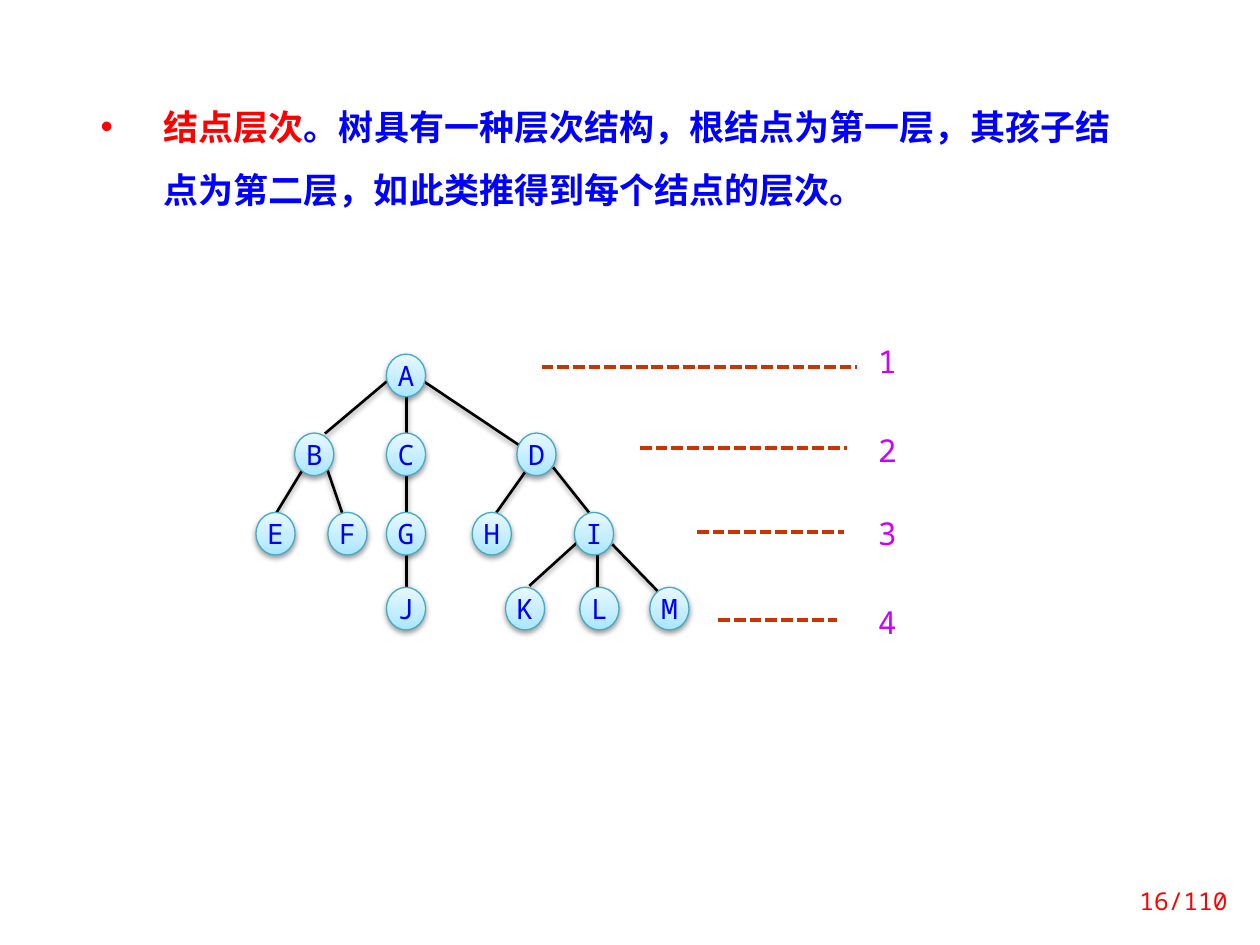
from lxml import etree
from pptx import Presentation
from pptx.dml.color import RGBColor
from pptx.enum.dml import MSO_LINE
from pptx.enum.shapes import MSO_CONNECTOR, MSO_SHAPE
from pptx.enum.text import MSO_ANCHOR, MSO_AUTO_SIZE, PP_ALIGN
from pptx.oxml import parse_xml
from pptx.oxml.ns import nsdecls, qn
from pptx.util import Cm, Pt

STRAIGHT = MSO_CONNECTOR.STRAIGHT
OVAL = MSO_SHAPE.OVAL
SHORT_DASH = MSO_LINE.SQUARE_DOT
CENTER, RIGHT = PP_ALIGN.CENTER, PP_ALIGN.RIGHT
MIDDLE = MSO_ANCHOR.MIDDLE
GROW = MSO_AUTO_SIZE.SHAPE_TO_FIT_TEXT

RED, BLUE, PURPLE, RUST, BLACK = "FF0000", "0000FF", "CC00FF", "CC3300", "000000"
MONO, CJK = "Noto Sans Mono", "Noto Sans CJK SC"


def color(value):
    return RGBColor.from_string(value)


def set_all(target, values):
    for name, value in values.items():
        setattr(target, name, value)


class TreeSlide:
    node_width, node_height = 0.79, 0.86
    node_stops = ((0, "A7E6FF"), (35, "C1EDFF"), (100, "E7F8FF"))
    node_outline = "46AAC5"

    def __init__(self, slide):
        self.slide = slide

    def add_words(self, paragraph, text, size, hue, font=MONO, bold=False):
        run = paragraph.add_run()
        run.text = text
        set_all(run.font, {"size": Pt(size), "bold": bold, "name": font})
        run.font.color.rgb = color(hue)
        east_asian = etree.SubElement(run.font._element, qn("a:ea"))
        east_asian.set("typeface", CJK)

    def text_box(self, left, top, width, height, frame_format, paragraph_format):
        box = self.slide.shapes.add_textbox(Cm(left), Cm(top), Cm(width), Cm(height))
        set_all(box.text_frame, {"word_wrap": True, **frame_format})
        paragraph = box.text_frame.paragraphs[0]
        set_all(paragraph, paragraph_format)
        return paragraph

    def bullet(self, paragraph, indent):
        properties = paragraph._p.get_or_add_pPr()
        properties.set("marL", str(Cm(indent)))
        properties.set("indent", str(-Cm(indent)))
        etree.SubElement(properties, qn("a:buFont")).set("typeface", "Arial")
        etree.SubElement(properties, qn("a:buChar")).set("char", "•")

    def cast_shadow(self, effects):
        effects.append(parse_xml(
            f'<a:outerShdw {nsdecls("a")} blurRad="{Pt(3.1)}" dist="{Pt(1.6)}" '
            'dir="5400000" rotWithShape="0"><a:srgbClr val="000000">'
            '<a:alpha val="38000"/></a:srgbClr></a:outerShdw>'))

    def line(self, start, end, hue, width, dash=None, shadow=False):
        connector = self.slide.shapes.add_connector(
            STRAIGHT, *(Cm(value) for value in (*start, *end)))
        connector.line.color.rgb = color(hue)
        set_all(connector.line, {"width": Pt(width), "dash_style": dash})
        effects = etree.SubElement(connector._element.spPr, qn("a:effectLst"))
        if shadow:
            self.cast_shadow(effects)

    def node(self, letter, left, top):
        oval = self.slide.shapes.add_shape(
            OVAL, Cm(left), Cm(top), Cm(self.node_width), Cm(self.node_height))
        oval.fill.gradient()
        oval.fill.gradient_angle = 90
        stops = oval._element.spPr.find(".//" + qn("a:gsLst"))
        for old_stop in list(stops):
            stops.remove(old_stop)
        for position, hue in self.node_stops:
            stop = etree.SubElement(stops, qn("a:gs"), pos=str(position * 1000))
            etree.SubElement(stop, qn("a:srgbClr"), val=hue)
        oval.line.color.rgb = color(self.node_outline)
        oval.line.width = Pt(0.75)
        oval.shadow.inherit = False
        self.cast_shadow(oval._element.spPr.find(qn("a:effectLst")))
        frame = oval.text_frame
        set_all(frame, {"margin_left": 0, "margin_right": 0, "margin_top": 0,
                        "margin_bottom": 0, "vertical_anchor": MIDDLE})
        set_all(frame.paragraphs[0], {"alignment": CENTER, "line_spacing": Pt(19)})
        self.add_words(frame.paragraphs[0], letter, 16, BLUE)


def main():
    presentation = Presentation()
    set_all(presentation, {"slide_width": Cm(25.4), "slide_height": Cm(19.05)})
    page = TreeSlide(presentation.slides.add_slide(presentation.slide_layouts[6]))

    definition = page.text_box(1.78, 1.57, 21.03, 2.67, {"auto_size": GROW},
                               {"line_spacing": 1.5})
    page.bullet(definition, 1.27)
    page.add_words(definition, "结点层次", 20, RED, CJK, True)
    page.add_words(definition, "。树具有一种层次结构，根结点为第一层，其孩子结点为第二层，"
                   "如此类推得到每个结点的层次。", 20, BLUE, MONO, True)

    levels = (
        (6.91, 7.39, 10.92, 17.27),
        (8.71, 9.04, 12.9, 17.07),
        (10.39, 10.72, 14.05, 17.02),
        (12.17, 12.5, 14.48, 16.87),
    )
    for number, (label_top, guide_y, guide_left, guide_right) in enumerate(levels, 1):
        label = page.text_box(17.45, label_top, 0.99, 0.89, {"auto_size": GROW},
                              {"line_spacing": 0.8})
        page.add_words(label, str(number), 18, PURPLE)
        page.line((guide_left, guide_y), (guide_right, guide_y), RUST, 2.25, SHORT_DASH)

    branches = (
        ((10.69, 9.37), (9.93, 10.44)),
        ((11.15, 9.42), (11.96, 10.44)),
        ((12.05, 11.18), (12.05, 11.96)),
        ((12.34, 10.97), (13.28, 11.94)),
        ((11.73, 10.85), (10.67, 11.81)),
        ((6.6, 9.47), (6.96, 10.52)),
        ((6.1, 9.47), (5.54, 10.39)),
        ((7.82, 7.67), (6.55, 8.74)),
        ((8.2, 7.95), (8.2, 11.96)),
        ((8.56, 7.7), (10.46, 8.97)),
    )
    for start, end in branches:
        page.line(start, end, BLACK, 1.5, shadow=True)

    tree_rows = (
        (7.14, {"A": 7.79}),
        (8.73, {"B": 5.94, "C": 7.79, "D": 10.42}),
        (10.33, {"E": 5.16, "F": 6.61, "G": 7.79, "H": 9.52, "I": 11.58}),
        (11.84, {"J": 7.79, "K": 10.19, "L": 11.69, "M": 13.1}),
    )
    for top, row in tree_rows:
        for letter, left in row.items():
            page.node(letter, left, top)

    page_number = page.text_box(22.1, 17.65, 2.9, 1.02, {"vertical_anchor": MIDDLE},
                                {"alignment": RIGHT})
    page.add_words(page_number, "16/110", 14, RED)

    presentation.save("out.pptx")


if __name__ == "__main__":
    main()
